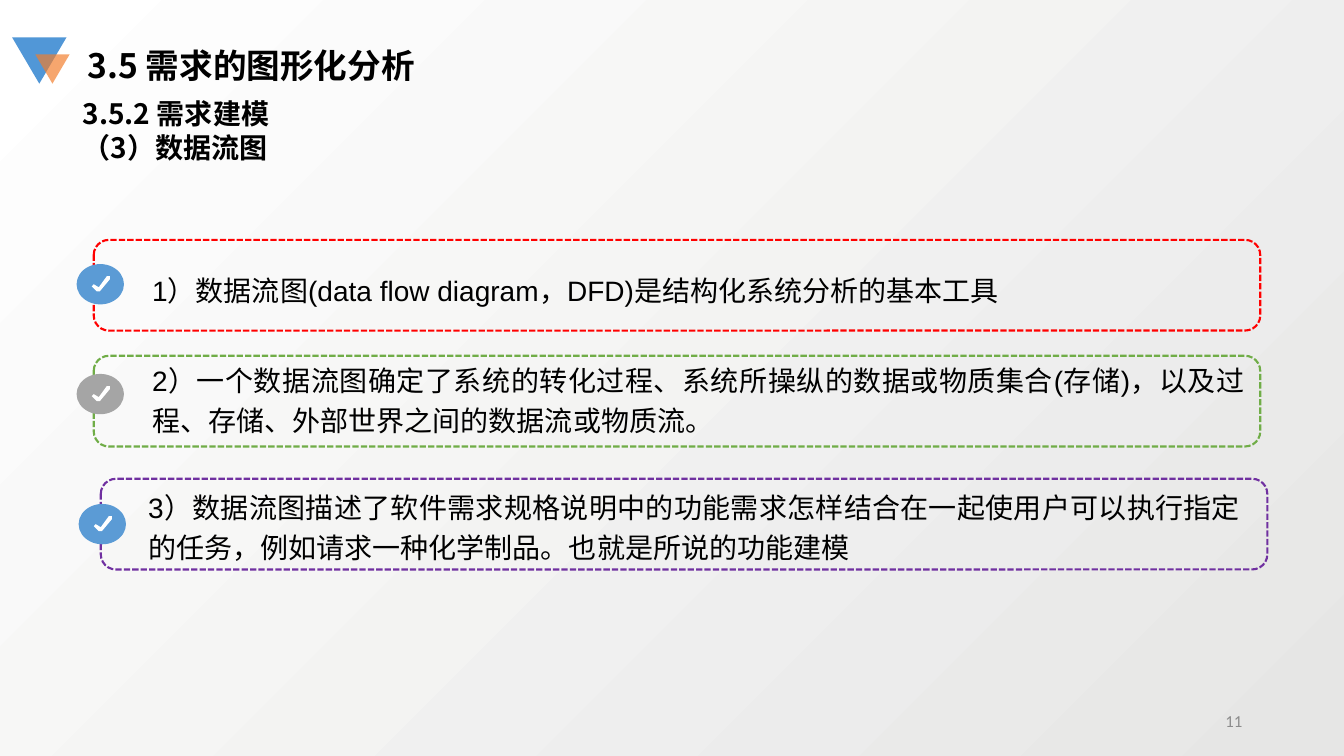
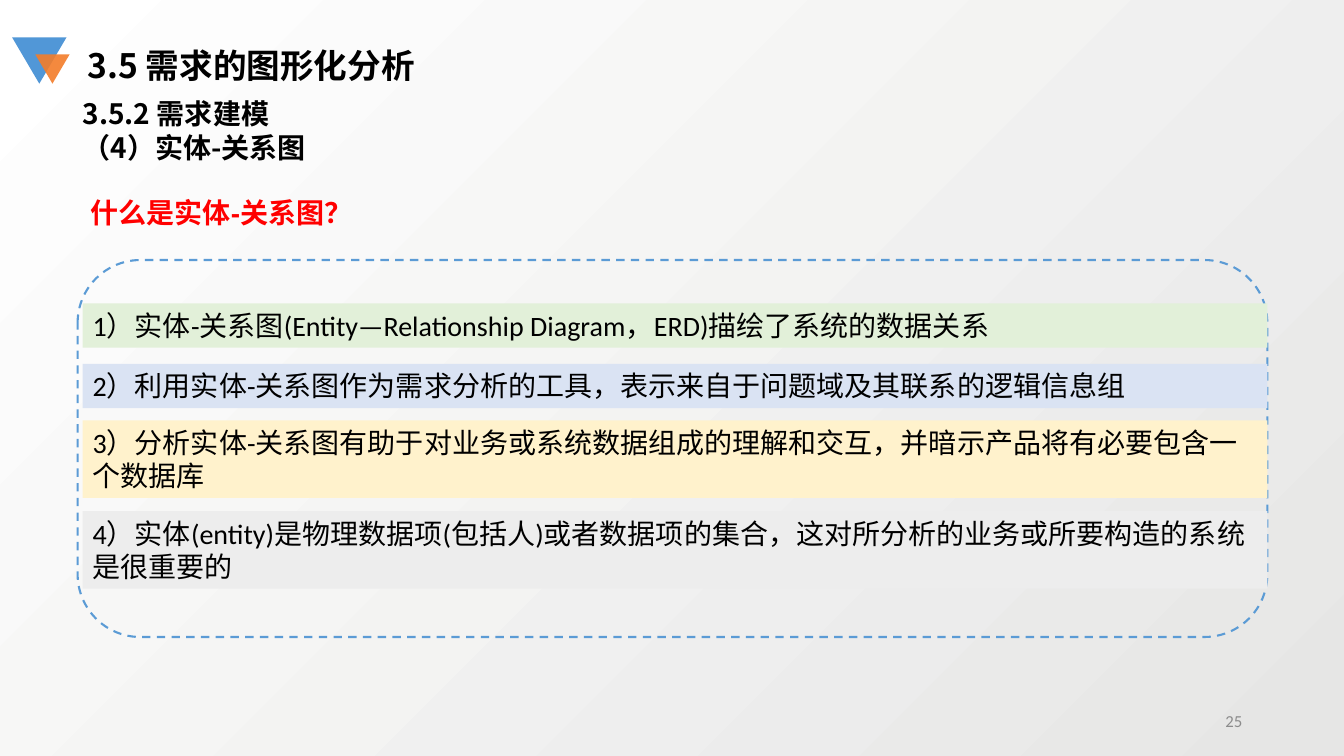
from dataclasses import dataclass

from lxml import etree
from pptx import Presentation
from pptx.dml.color import RGBColor
from pptx.enum.dml import MSO_LINE
from pptx.enum.shapes import MSO_SHAPE
from pptx.enum.text import MSO_ANCHOR, MSO_AUTO_SIZE, PP_ALIGN
from pptx.oxml.ns import qn
from pptx.util import Inches, Pt

LEFT, RIGHT, JUSTIFY = PP_ALIGN.LEFT, PP_ALIGN.RIGHT, PP_ALIGN.JUSTIFY
TOP, MIDDLE = MSO_ANCHOR.TOP, MSO_ANCHOR.MIDDLE
NO_AUTOFIT = MSO_AUTO_SIZE.NONE
SHORT_DASH, DASH = MSO_LINE.SQUARE_DOT, MSO_LINE.DASH
TRIANGLE, OVAL = MSO_SHAPE.ISOSCELES_TRIANGLE, MSO_SHAPE.OVAL
RECTANGLE, ROUNDED = MSO_SHAPE.RECTANGLE, MSO_SHAPE.ROUNDED_RECTANGLE


@dataclass(frozen=True)
class Theme:
    heading_font: str = "Noto Sans CJK SC"
    list_font: str = "Arial"
    body_font: str = "Calibri"
    title_size: int = 24
    text_size: int = 20
    number_size: int = 12
    line_width: float = 1.5
    background_dark: str = "E6E6E5"
    white: str = "FFFFFF"
    black: str = "000000"
    red: str = "FF0000"
    green: str = "70AD47"
    purple: str = "7030A0"
    blue: str = "5B9BD5"
    gray: str = "A5A5A5"
    number_gray: str = "8C8C8C"
    marker_blue: str = "5197D7"
    marker_orange: str = "F37D2A"
    pale_green: str = "E2F0D9"
    pale_blue: str = "DAE3F3"
    pale_yellow: str = "FFF2CC"
    pale_gray: str = "EDEDED"


theme = Theme()


def write_text(shape, lines, font, size=theme.text_size, color=theme.black, bold=False,
               align=LEFT, anchor=TOP, spacing=1.0):
    frame = shape.text_frame
    frame.word_wrap = True
    frame.auto_size = NO_AUTOFIT
    frame.vertical_anchor = anchor
    frame.text = "\n".join(lines)
    for paragraph in frame.paragraphs:
        properties = paragraph._p.get_or_add_pPr()
        properties.set("marL", "0")
        properties.set("indent", "0")
        etree.SubElement(properties, qn("a:buNone"))
        paragraph.alignment = align
        paragraph.line_spacing = spacing
        paragraph.space_before = Pt(0)
        paragraph.font.name = font
        paragraph.font.size = Pt(size)
        paragraph.font.bold = bold
        paragraph.font.color.rgb = RGBColor.from_string(color)


def paint(shape, fill=None, line=None, dash=None):
    shape.shadow.inherit = False
    if fill:
        shape.fill.solid()
        shape.fill.fore_color.rgb = RGBColor.from_string(fill)
    else:
        shape.fill.background()
    if line:
        shape.line.color.rgb = RGBColor.from_string(line)
        shape.line.width = Pt(theme.line_width)
        shape.line.dash_style = dash
    else:
        shape.line.fill.background()


presentation = Presentation()
presentation.slide_width = Inches(13.33)
presentation.slide_height = Inches(7.5)

background = presentation.slide_master.background.fill
background.gradient()
background.gradient_angle = 135
for stop, color in zip(background.gradient_stops, (theme.background_dark, theme.white)):
    stop.color.rgb = RGBColor.from_string(color)

pages = [
    ("（3）数据流图", "11", 68),
    ("（4）实体-关系图", "25", 90),
]
slides = []
for topic, number, opacity in pages:
    slide = presentation.slides.add_slide(presentation.slide_layouts[1])
    slides.append(slide)
    title, subtitle = slide.placeholders
    title.left, title.top, title.width, title.height = map(Inches, (0.77, 0.4, 8.49, 0.5))
    write_text(title, ["3.5 需求的图形化分析"], theme.heading_font, theme.title_size, bold=True)
    subtitle.left, subtitle.top, subtitle.width, subtitle.height = map(Inches, (0.72, 0.91, 8.49, 0.77))
    write_text(subtitle, ["3.5.2 需求建模", topic], theme.heading_font, bold=True)

    large = slide.shapes.add_shape(TRIANGLE, Inches(0.12), Inches(0.37), Inches(0.54), Inches(0.46))
    small = slide.shapes.add_shape(TRIANGLE, Inches(0.35), Inches(0.54), Inches(0.34), Inches(0.29))
    for triangle, color in ((large, theme.marker_blue), (small, theme.marker_orange)):
        triangle.rotation = 180
        paint(triangle, color)
    small_color = small._element.spPr.find(qn("a:solidFill"))[0]
    etree.SubElement(small_color, qn("a:alpha"), val=str(opacity * 1000))

    number_box = slide.shapes.add_textbox(Inches(9.42), Inches(6.95), Inches(3), Inches(0.4))
    write_text(number_box, [number], theme.body_font, theme.number_size, theme.number_gray,
               align=RIGHT, anchor=MIDDLE)

flow_slide, entity_slide = slides

statements = [
    (0.93, 2.38, theme.red, 1.35, 2.65, 0.76, 2.62, theme.blue,
     "1）数据流图(data flow diagram，DFD)是结构化系统分析的基本工具"),
    (0.93, 3.53, theme.green, 1.35, 3.54, 0.76, 3.71, theme.gray,
     "2）一个数据流图确定了系统的转化过程、系统所操纵的数据或物质集合(存储)，以及过程、存储、外部世界之间的数据流或物质流。"),
    (1, 4.75, theme.purple, 1.31, 4.8, 0.78, 5, theme.blue,
     "3）数据流图描述了软件需求规格说明中的功能需求怎样结合在一起使用户可以执行指定的任务，例如请求一种化学制品。也就是所说的功能建模"),
]
check_points = [(0.15, 0.22), (0.17, 0.2), (0.22, 0.23), (0.3, 0.12),
                (0.33, 0.12), (0.33, 0.15), (0.23, 0.27), (0.2, 0.27)]
for (frame_left, frame_top, frame_color, text_left, text_top,
     badge_left, badge_top, badge_color, text) in statements:
    frame = flow_slide.shapes.add_shape(
        ROUNDED, Inches(frame_left), Inches(frame_top), Inches(11.57), Inches(0.9))
    paint(frame, line=frame_color, dash=SHORT_DASH)

    text_box = flow_slide.shapes.add_textbox(
        Inches(text_left), Inches(text_top), Inches(11.15), Inches(0.9))
    text_box.text_frame.margin_left = text_box.text_frame.margin_right = Inches(0.16)
    text_box.text_frame.margin_top = text_box.text_frame.margin_bottom = 0
    write_text(text_box, [text], theme.list_font, align=JUSTIFY, spacing=1.2)

    badge = flow_slide.shapes.add_shape(
        OVAL, Inches(badge_left), Inches(badge_top), Inches(0.47), Inches(0.4))
    paint(badge, badge_color)
    outline = [(Inches(badge_left + x), Inches(badge_top + y)) for x, y in check_points]
    builder = flow_slide.shapes.build_freeform(*outline[0])
    builder.add_line_segments(outline[1:], close=True)
    paint(builder.convert_to_shape(), theme.white)

question = entity_slide.shapes.add_textbox(Inches(0.8), Inches(1.76), Inches(11.77), Inches(0.7))
write_text(question, ["什么是实体-关系图？"], theme.list_font, color=theme.red, bold=True, anchor=MIDDLE)

panel = entity_slide.shapes.add_shape(ROUNDED, Inches(0.77), Inches(2.58), Inches(11.8), Inches(3.74))
paint(panel, line=theme.blue, dash=DASH)

bars = [
    (3.01, 0.44, theme.pale_green,
     "1）实体-关系图(Entity—Relationship Diagram，ERD)描绘了系统的数据关系"),
    (3.61, 0.44, theme.pale_blue,
     "2）利用实体-关系图作为需求分析的工具，表示来自于问题域及其联系的逻辑信息组"),
    (4.17, 0.77, theme.pale_yellow,
     "3）分析实体-关系图有助于对业务或系统数据组成的理解和交互，并暗示产品将有必要包含一个数据库"),
    (5.07, 0.77, theme.pale_gray,
     "4）实体(entity)是物理数据项(包括人)或者数据项的集合，这对所分析的业务或所要构造的系统是很重要的"),
]
for top, height, color, text in bars:
    bar = entity_slide.shapes.add_shape(RECTANGLE, Inches(0.82), Inches(top), Inches(11.75), Inches(height))
    paint(bar, color)
    write_text(bar, [text], theme.body_font)

presentation.save("out.pptx")
